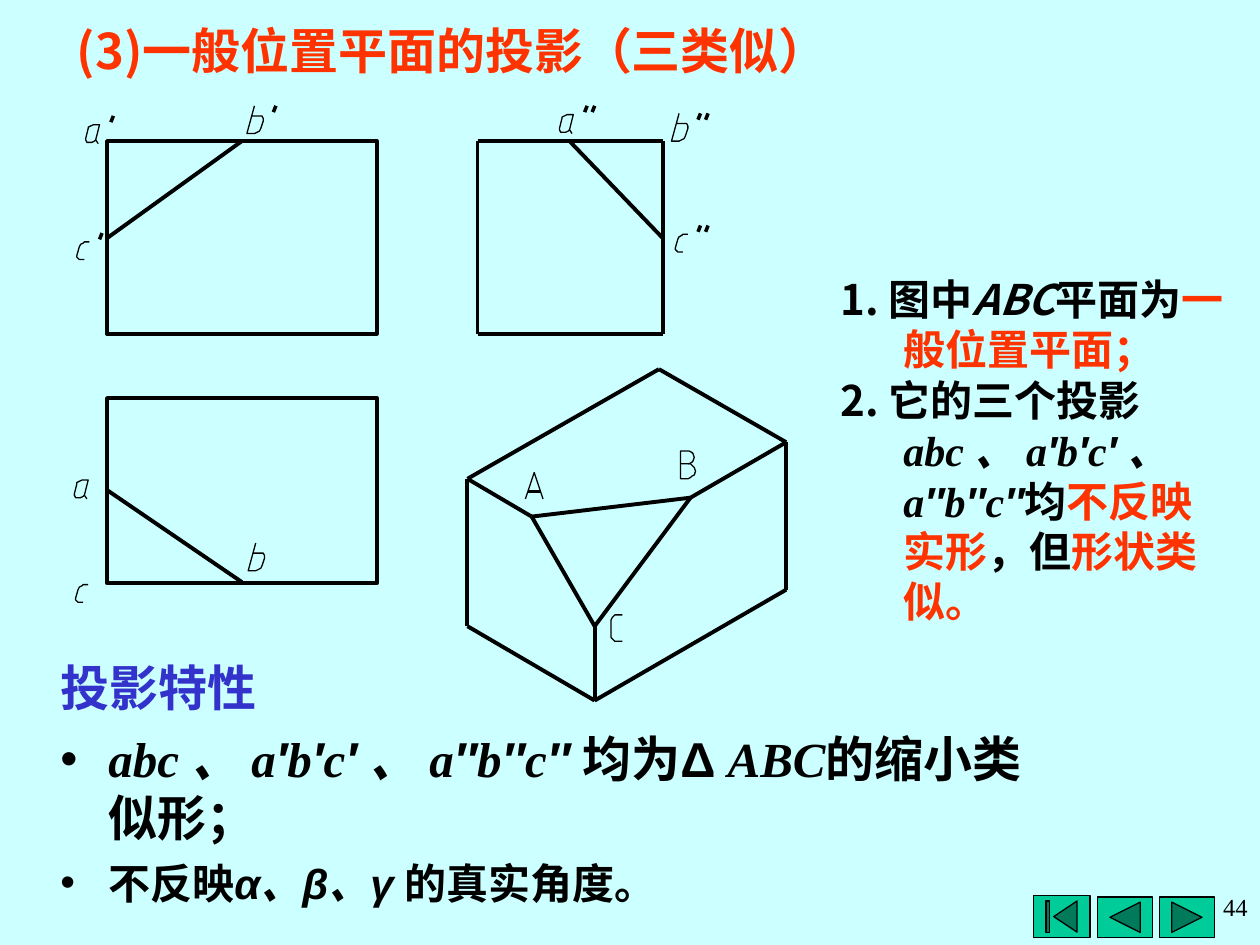
from dataclasses import dataclass
from itertools import groupby, pairwise

from lxml.etree import SubElement
from pptx import Presentation
from pptx.dml.color import RGBColor
from pptx.enum.shapes import MSO_CONNECTOR, MSO_SHAPE
from pptx.enum.text import MSO_ANCHOR, MSO_AUTO_SIZE, PP_ALIGN
from pptx.oxml.ns import qn
from pptx.util import Pt

PX = 9144  # 100 px to the inch
COLORS = {"background": "CCFFFF", "black": "000000", "red": "FF3300",
          "blue": "3333CC", "button": "00CC99"}
CJK, SERIF, SANS = "Noto Sans CJK SC", "Times New Roman", "Arial"
SYMBOLS = "′″αβγΔ"  # always set in the sans font
THICK, HAIRLINE = 2.25, 0
PROJECTIONS = "abc 、 a′b′c′ 、 a″b″c″"


@dataclass(frozen=True)
class Span:
    text: str
    color: str = "black"
    font: str = SERIF
    italic: bool = False


@dataclass(frozen=True)
class Line:
    spans: tuple[Span, ...]
    size: int
    bold: bool = True
    hanging: int = 0
    bullet: str = ""
    space_before: int = 0
    align: PP_ALIGN = PP_ALIGN.LEFT


@dataclass(frozen=True)
class Label:
    letter: str
    x: int
    y: int
    primes: int = 0


# Stroke letters, relative to their top left corner
GLYPHS = {
    "a": [[(10, 15), (8, 12), (11, 0), (6, 0), (4, 1), (2, 2), (2, 3), (0, 11),
           (0, 12), (1, 14), (2, 14), (4, 14), (5, 14), (7, 13), (8, 12)]],
    "b": [[(6, 0), (0, 22), (6, 22), (8, 21), (10, 20), (11, 18), (13, 12),
           (13, 10), (12, 8), (10, 8), (4, 8)]],
    "c": [[(10, 0), (6, 0), (5, 1), (3, 2), (2, 4), (0, 11), (0, 12), (1, 13),
           (2, 14), (6, 14)]],
    "A": [[(0, 21), (7, 0), (14, 21)], [(12, 15), (2, 15)]],
    "B": [[(0, 22), (6, 22), (8, 21), (9, 20), (11, 19), (12, 16), (11, 13),
           (9, 11), (8, 10), (6, 10), (0, 10)],
          [(6, 10), (7, 10), (9, 9), (10, 8), (11, 5), (10, 2), (9, 1), (7, 0),
           (6, 0), (0, 0), (0, 22)]],
    "C": [[(9, 21), (5, 21), (3, 21), (1, 19), (0, 18), (0, 16), (0, 5), (0, 4),
           (1, 2), (3, 0), (5, 0), (9, 0)]],
}
PRIME_OFFSETS = {"a": (20, -7), "b": (21, 0), "c": (18, -7)}
LABELS = [
    Label("a", 68, 99, 1), Label("b", 196, 84, 1), Label("c", 61, 192, 1),
    Label("a", 444, 91, 2), Label("b", 533, 90, 2), Label("c", 536, 186, 2),
    Label("a", 59, 381), Label("b", 197, 431), Label("c", 60, 464),
    Label("A", 417, 375), Label("B", 540, 358), Label("C", 485, 488),
]

# Views of the cut block: front and top outlines, then lines
OUTLINES = [(85, 112, 214, 153), (85, 316, 214, 147)]
VIEW_PATHS = [
    [(379, 112), (526, 112), (526, 265), (379, 265), (379, 112)],
    [(192, 112), (85, 189)],
    [(85, 389), (192, 462)],
    [(452, 112), (526, 189)],
]
SOLID = {"A": (422, 410), "B": (548, 395), "C": (472, 497), "left": (371, 380),
         "back": (523, 293), "right": (624, 351), "low left": (371, 497),
         "front": (472, 556), "low right": (624, 468)}
SOLID_PATHS = [
    ["A", "B", "C", "A"],
    ["A", "left", "back", "right", "B"],
    ["left", "low left", "front", "low right", "right"],
    ["front", "C"],
]
BUTTONS = [
    (MSO_SHAPE.ACTION_BUTTON_BEGINNING, 820, 711, 45, 33),
    (MSO_SHAPE.ACTION_BUTTON_BACK_OR_PREVIOUS, 871, 712, 44, 32),
    (MSO_SHAPE.ACTION_BUTTON_FORWARD_OR_NEXT, 920, 712, 44, 32),
]

# Texts
TITLE = [Line((Span("(3)一般位置平面的投影（三类似）", "red", CJK),), 28)]
NOTES = [
    Line((Span("1. 图中", font=CJK), Span("ABC", font=CJK, italic=True),
          Span("平面为", font=CJK), Span("一般位置平面；", "red", CJK)), 24, hanging=50),
    Line((Span("2. 它的三个投影", font=CJK), Span(PROJECTIONS, italic=True),
          Span("均", font=CJK), Span("不反映实形", "red", CJK),
          Span("，但", font=CJK), Span("形状类似。", "red", CJK)), 24, hanging=50),
]
PROPERTIES = [
    Line((Span("投影特性", "blue"),), 28, hanging=38),
    Line((Span(PROJECTIONS + " ", italic=True), Span("均为Δ "),
          Span("ABC", italic=True), Span("的缩小类似形；")),
         28, hanging=38, bullet="•", space_before=7),
    Line((Span("不反映"), Span("α、β、γ", italic=True), Span(" 的真实角度。")),
         24, hanging=38, bullet="•", space_before=6),
]
PAGE_NUMBER = [Line((Span("44"),), 14, bold=False, align=PP_ALIGN.RIGHT)]


def rgb(name: str) -> RGBColor:
    return RGBColor.from_string(COLORS[name])


def place(shape, left: int, top: int, width: int, height: int) -> None:
    shape.left, shape.top = left * PX, top * PX
    shape.width, shape.height = width * PX, height * PX


def add_span(paragraph, span: Span, line: Line) -> None:
    for is_symbol, characters in groupby(span.text, lambda c: c in SYMBOLS):
        run = paragraph.add_run()
        run.text = "".join(characters)
        font = run.font
        font.name = SANS if is_symbol else span.font
        font.size, font.bold, font.italic = Pt(line.size), line.bold, span.italic
        font.color.rgb = rgb(span.color)
        east_asian = SubElement(font._element, qn("a:ea"))
        east_asian.set("typeface", SANS if is_symbol else CJK)


def write(shape, lines: list[Line], anchor=MSO_ANCHOR.TOP) -> None:
    frame = shape.text_frame
    frame.word_wrap, frame.auto_size = True, MSO_AUTO_SIZE.NONE
    frame.vertical_anchor = anchor
    for index, line in enumerate(lines):
        paragraph = frame.add_paragraph() if index else frame.paragraphs[0]
        paragraph.alignment = line.align
        paragraph.space_before = Pt(line.space_before)
        properties = paragraph._p.get_or_add_pPr()
        properties.set("marL", str(line.hanging * PX))
        properties.set("indent", str(-line.hanging * PX))
        if line.bullet:
            SubElement(properties, qn("a:buChar")).set("char", line.bullet)
        else:
            SubElement(properties, qn("a:buNone"))
        for span in line.spans:
            add_span(paragraph, span, line)


def draw_line(shapes, start: tuple[int, int], end: tuple[int, int], width: float) -> None:
    points = [value * PX for value in (*start, *end)]
    connector = shapes.add_connector(MSO_CONNECTOR.STRAIGHT, *points)
    connector.line.color.rgb, connector.line.width = rgb("black"), Pt(width)
    SubElement(connector._element.spPr, qn("a:effectLst"))


def draw_shape(shapes, kind, box: tuple[int, ...], width: float, fill: str = "") -> None:
    shape = shapes.add_shape(kind, *(value * PX for value in box))
    style_outline(shape, width)
    if fill:
        shape.fill.solid()
        shape.fill.fore_color.rgb = rgb(fill)


def style_outline(shape, width: float) -> None:
    shape.shadow.inherit = False
    shape.fill.background()
    shape.line.color.rgb, shape.line.width = rgb("black"), Pt(width)


def draw_label(shapes, label: Label) -> None:
    for stroke in GLYPHS[label.letter]:
        points = [(label.x + x, label.y + y) for x, y in stroke]
        if len(points) == 2:
            draw_line(shapes, *points, HAIRLINE)
            continue
        builder = shapes.build_freeform(*points[0], scale=PX)
        builder.add_line_segments(points[1:], close=False)
        style_outline(builder.convert_to_shape(), HAIRLINE)
    for index in range(label.primes):
        offset_x, offset_y = PRIME_OFFSETS[label.letter]
        x, y = label.x + offset_x + 6 * index, label.y + offset_y
        draw_line(shapes, (x, y + 5), (x + 2, y), HAIRLINE)


def main() -> None:
    presentation = Presentation()
    presentation.slide_width, presentation.slide_height = 1000 * PX, 750 * PX
    slide = presentation.slides.add_slide(presentation.slide_layouts[3])
    slide.background.fill.solid()
    slide.background.fill.fore_color.rgb = rgb("background")

    # Navigation buttons
    for kind, *box in BUTTONS:
        draw_shape(slide.shapes, kind, box, 0.75, "button")

    # Title, notes and properties
    title, notes, properties = slide.placeholders
    place(title, 51, 11, 802, 57)
    write(title, TITLE, MSO_ANCHOR.MIDDLE)
    place(notes, 657, 212, 331, 290)
    write(notes, NOTES)
    place(properties, 38, 517, 817, 228)
    write(properties, PROPERTIES)

    # Projection drawing
    drawing = slide.shapes.add_group_shape().shapes
    for box in OUTLINES:
        draw_shape(drawing, MSO_SHAPE.RECTANGLE, box, THICK)
    solid_paths = [[SOLID[name] for name in names] for names in SOLID_PATHS]
    for points in VIEW_PATHS + solid_paths:
        for start, end in pairwise(points):
            draw_line(drawing, start, end, THICK)
    for label in LABELS:
        draw_label(drawing, label)

    # Page number
    number = slide.shapes.add_textbox(748 * PX, 703 * PX, 252 * PX, 45 * PX)
    write(number, PAGE_NUMBER)
    presentation.save("out.pptx")


if __name__ == "__main__":
    main()
